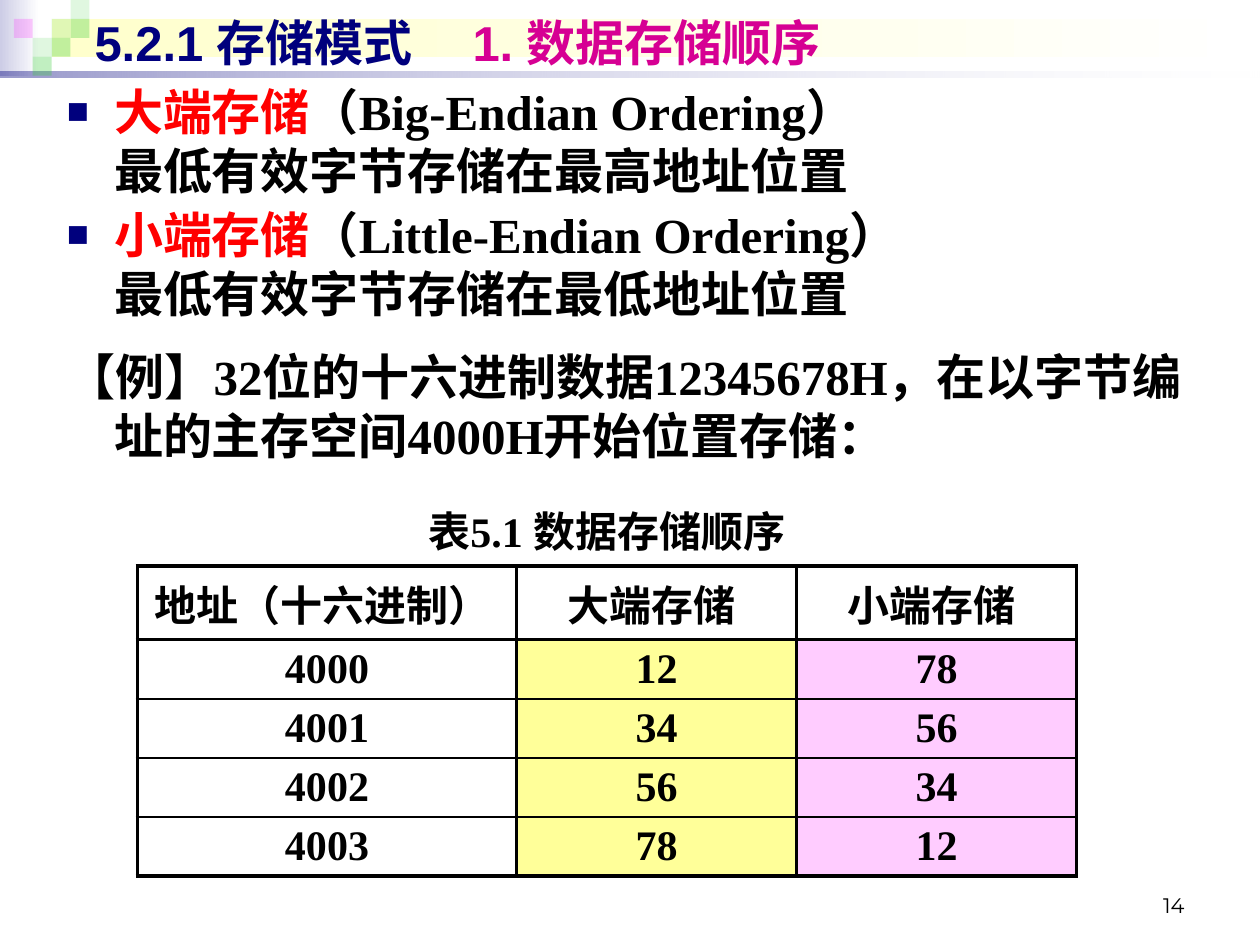
"""Build a slide on big-endian and little-endian storage order."""
from lxml.etree import SubElement
from pptx import Presentation
from pptx.dml.color import RGBColor
from pptx.enum.shapes import MSO_SHAPE
from pptx.enum.text import MSO_ANCHOR, MSO_AUTO_SIZE, PP_ALIGN
from pptx.oxml.ns import qn
from pptx.util import Pt

BLACK = RGBColor(0, 0, 0)
WHITE = RGBColor(255, 255, 255)
NAVY = RGBColor(0, 0, 0x7D)
MAGENTA = RGBColor(0xD6, 0, 0x93)
RED = RGBColor(255, 0, 0)
GREEN = RGBColor(0x33, 0xCC, 0x33)
PINK = RGBColor(255, 0, 255)
LAVENDER = RGBColor(0xCD, 0xCD, 0xE6)
CREAM = RGBColor(255, 255, 0xCC)
YELLOW = RGBColor(255, 255, 0x99)
ROSE = RGBColor(255, 0xCC, 255)

TITLE = [("5.2.1 存储模式\t", NAVY), ("1. 数据存储顺序", MAGENTA)]
BODY = [
    (True, 0, [("大端存储", RED), ("（Big-Endian Ordering）\v最低有效字节存储在最高地址位置", BLACK)]),
    (True, 2.8, [("小端存储", RED), ("（Little-Endian Ordering）\v最低有效字节存储在最低地址位置", BLACK)]),
    (False, 14, [("【例】32位的十六进制数据12345678H，在以字节编址的主存空间4000H开始位置存储：", BLACK)]),
]
ROWS = [
    ("表5.1 数据存储顺序", "", ""),
    ("地址（十六进制）", "大端存储", "小端存储"),
    ("4000", "12", "78"),
    ("4001", "34", "56"),
    ("4002", "56", "34"),
    ("4003", "78", "12"),
]
COLUMN_WIDTHS = [216.7, 160, 160]
ROW_HEIGHTS = [42, 42] + [33.75] * 4
COLUMN_FILLS = [None, YELLOW, ROSE]
GRADIENT_BARS = [
    (0, 0, 22.5, 43.2, LAVENDER, 100, 100),
    (29.5, 10.8, 687.6, 21.6, CREAM, 100, 100),
    (0, 41, 720, 3.6, NAVY, 40, 10),
]
TILE = 10.8
TILES = [
    (2, 1, GREEN, 15), (3, 0, GREEN, 15), (3, 1, GREEN, 30), (1, 2, GREEN, 15),
    (0, 1, PINK, 20), (2, 2, GREEN, 30), (1, 3, GREEN, 30),
]


def add_rectangle(slide, left, top, width, height):
    shape = slide.shapes.add_shape(
        MSO_SHAPE.RECTANGLE, Pt(left), Pt(top), Pt(width), Pt(height))
    shape.shadow.inherit = False
    shape.line.fill.background()
    return shape


def set_opacity(shape, percents):
    colors = shape._element.spPr.iter(qn("a:srgbClr"))
    for color, percent in zip(colors, percents):
        if percent < 100:
            SubElement(color, qn("a:alpha"), val=str(percent * 1000))


def add_decoration(slide):
    for left, top, width, height, color, start, end in GRADIENT_BARS:
        bar = add_rectangle(slide, left, top, width, height)
        bar.fill.gradient()
        bar.fill.gradient_angle = 0
        for stop, position, stop_color in zip(bar.fill.gradient_stops, (0, 1), (color, WHITE)):
            stop.position = position
            stop.color.rgb = stop_color
        set_opacity(bar, (start, end))
    for column, row, color, opacity in TILES:
        tile = add_rectangle(slide, 7.9 + column * TILE, row * TILE, TILE, TILE)
        tile.fill.solid()
        tile.fill.fore_color.rgb = color
        set_opacity(tile, (opacity,))


def place(shape, left, top, width, height):
    shape.left, shape.top, shape.width, shape.height = map(Pt, (left, top, width, height))
    shape.text_frame.word_wrap = True
    shape.text_frame.auto_size = MSO_AUTO_SIZE.NONE


def add_text(paragraph, text, font_name, size, color, bold=True):
    for index, line in enumerate(text.split("\v")):
        if index:
            paragraph.add_line_break()
        run = paragraph.add_run()
        run.text = line
        run.font.name = font_name
        run.font.size = Pt(size)
        run.font.bold = bold
        run.font.color.rgb = color


def set_bullet(paragraph, bulleted):
    properties = paragraph._p.get_or_add_pPr()
    properties.set("marL", str(Pt(27)))
    properties.set("indent", str(-Pt(27)))
    if not bulleted:
        SubElement(properties, qn("a:buNone"))
        return
    color = SubElement(properties, qn("a:buClr"))
    SubElement(color, qn("a:srgbClr"), val=str(NAVY))
    SubElement(properties, qn("a:buSzPct"), val="75000")
    SubElement(properties, qn("a:buFont"), typeface="Arial")
    SubElement(properties, qn("a:buChar"), char="■")


def fill_title(title):
    place(title, 46.8, 3.6, 664.6, 41)
    title.text_frame.vertical_anchor = MSO_ANCHOR.MIDDLE
    paragraph = title.text_frame.paragraphs[0]
    paragraph.alignment = PP_ALIGN.LEFT
    for text, color in TITLE:
        add_text(paragraph, text, "Arial", 28, color)


def fill_body(body):
    place(body, 31, 43.2, 668.9, 481.7)
    frame = body.text_frame
    for index, (bulleted, space, runs) in enumerate(BODY):
        paragraph = frame.add_paragraph() if index else frame.paragraphs[0]
        set_bullet(paragraph, bulleted)
        paragraph.space_before = Pt(space)
        for text, color in runs:
            add_text(paragraph, text, "Times New Roman", 28, color)


def set_borders(cell, widths):
    properties = cell._tc.get_or_add_tcPr()
    for side, width in zip(("lnL", "lnR", "lnT", "lnB"), widths):
        line = SubElement(properties, qn(f"a:{side}"), w=str(Pt(width)))
        if width:
            fill = SubElement(line, qn("a:solidFill"))
            SubElement(fill, qn("a:srgbClr"), val=str(BLACK))
        else:
            SubElement(line, qn("a:noFill"))


def add_storage_table(slide):
    table = slide.shapes.add_table(
        len(ROWS), len(COLUMN_WIDTHS), Pt(78.5), Pt(281.5),
        Pt(sum(COLUMN_WIDTHS)), Pt(sum(ROW_HEIGHTS))).table
    table.first_row = table.horz_banding = False
    for column, width in zip(table.columns, COLUMN_WIDTHS):
        column.width = Pt(width)
    table.cell(0, 0).merge(table.cell(0, 2))
    last = len(ROWS) - 1
    for row_index, texts in enumerate(ROWS):
        table.rows[row_index].height = Pt(ROW_HEIGHTS[row_index])
        side = 2.25 if row_index else 0
        top = 0 if row_index == 0 else 2.25 if row_index < 3 else 1
        bottom = 2.25 if row_index in (0, 1, last) else 1
        for column_index, text in enumerate(texts):
            cell = table.cell(row_index, column_index)
            set_borders(cell, (side, side, top, bottom))
            color = COLUMN_FILLS[column_index] if row_index > 1 else None
            if color is None:
                cell.fill.background()
            else:
                cell.fill.solid()
                cell.fill.fore_color.rgb = color
            cell.vertical_anchor = MSO_ANCHOR.MIDDLE
            if row_index == 1:
                cell.margin_right = Pt(12.8)
            paragraph = cell.text_frame.paragraphs[0]
            paragraph.alignment = PP_ALIGN.CENTER
            if text:
                add_text(paragraph, text, "Times New Roman", 24, BLACK)


def add_page_number(slide):
    box = slide.shapes.add_textbox(0, 0, 0, 0)
    place(box, 516.2, 491.8, 167.8, 36)
    box.text_frame.vertical_anchor = MSO_ANCHOR.BOTTOM
    paragraph = box.text_frame.paragraphs[0]
    paragraph.alignment = PP_ALIGN.RIGHT
    add_text(paragraph, "14", "Montserrat", 12, BLACK, bold=False)


def main():
    presentation = Presentation()
    presentation.slide_width, presentation.slide_height = Pt(720), Pt(540)
    slide = presentation.slides.add_slide(presentation.slide_layouts[1])
    title, body = slide.placeholders
    add_decoration(slide)
    for placeholder in (title, body):
        slide.shapes._spTree.append(placeholder._element)
    fill_title(title)
    fill_body(body)
    add_page_number(slide)
    add_storage_table(slide)
    presentation.save("out.pptx")


if __name__ == "__main__":
    main()
